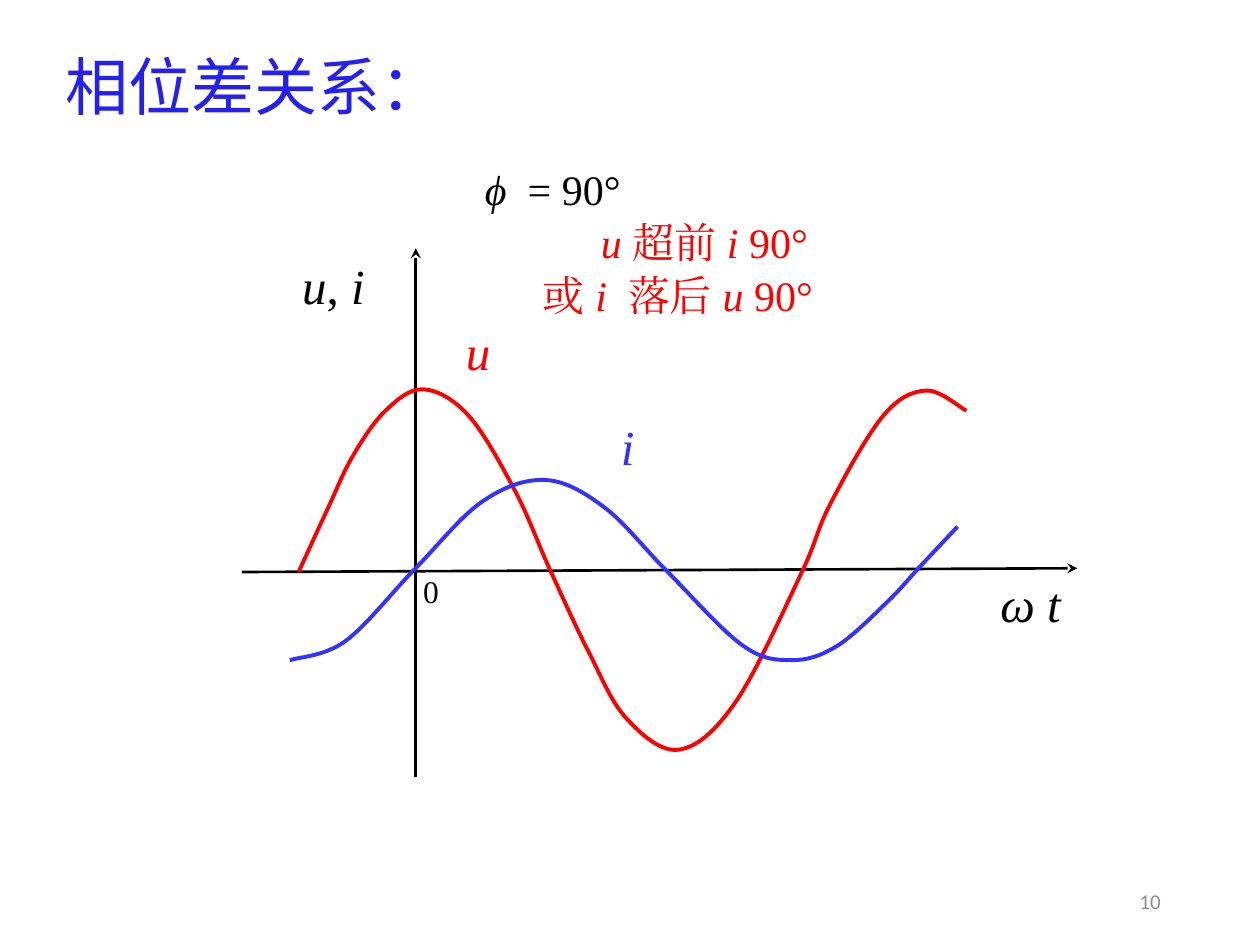
from dataclasses import dataclass

from lxml.etree import SubElement
from pptx import Presentation
from pptx.dml.color import RGBColor as RGB
from pptx.enum.text import MSO_ANCHOR as Anchor, PP_ALIGN as Align
from pptx.oxml.ns import qn
from pptx.util import Inches, Pt


@dataclass(frozen=True)
class Theme:
    ink: str = "000000"
    title: str = "2520F2"
    volt: str = "FF0000"
    amp: str = "3333FF"
    grey: str = "8C8C8C"
    serif: str = "Times New Roman"
    sans: str = "Calibri"
    han: str = "Noto Sans CJK SC"
    head: int = 36
    label: int = 28
    body: int = 24
    zero: int = 18
    foot: int = 12
    axis: float = 1.5
    wave: float = 2.25


def put(obj, vals):
    for key, val in vals.items():
        setattr(obj, key, val)


class Pen:
    def __init__(self, slide, theme):
        self.slide, self.theme = slide, theme

    def text(self, box, paras, size, color, font=None, wrap=True, frame=None):
        """Each paragraph is (format dict, indent, runs); a run is (text, italic)."""
        shape = self.slide.shapes.add_textbox(*map(Inches, box))
        tf = shape.text_frame
        put(tf, {"word_wrap": wrap, **(frame or {})})
        font = font or self.theme.serif
        for n, (form, indent, runs) in enumerate(paras):
            para = tf.add_paragraph() if n else tf.paragraphs[0]
            put(para, form)
            if indent:
                para._p.get_or_add_pPr().set("marL", str(Inches(indent)))
            for words, slant in runs:
                run = para.add_run()
                run.text = words
                put(run.font, {"name": font, "size": Pt(size), "italic": slant})
                run.font.color.rgb = RGB.from_string(color[n] if isinstance(color, list) else color)
                SubElement(run._r.get_or_add_rPr(), qn("a:ea"), typeface=font)

    def label(self, box, runs, size, color, **more):
        self.text(box, [({}, 0, runs)], size, color, **more)

    def stroke(self, line, color, width):
        line.color.rgb = RGB.from_string(color)
        line.width = Pt(width)

    def arrow(self, start, end):
        shape = self.slide.shapes.add_connector(1, *map(Inches, (*start, *end)))
        self.stroke(shape.line, self.theme.ink, self.theme.axis)
        SubElement(shape.line._get_or_add_ln(), qn("a:tailEnd"), type="stealth")
        SubElement(shape._element.spPr, qn("a:effectLst"))

    def curve(self, knots, color):
        """Draw a Catmull-Rom spline through the knots."""
        first, *rest = [(Inches(x), Inches(y)) for x, y in knots]
        build = self.slide.shapes.build_freeform(*first)
        build.add_line_segments(rest, close=False)
        shape = build.convert_to_shape()
        shape.shadow.inherit = False
        shape.fill.background()
        self.stroke(shape.line, color, self.theme.wave)

        pts = [(int(p.get("x")), int(p.get("y"))) for p in shape._element.iter(qn("a:pt"))]
        ends = [pts[0], *pts, pts[-1]]
        lines = list(shape._element.iter(qn("a:lnTo")))
        for n, old in enumerate(lines):
            a, b, c, d = ends[n:n + 4]
            ctrl = [[q + (r - p) / 6 for p, q, r in zip(a, b, c)],
                    [q - (r - p) / 6 for p, q, r in zip(b, c, d)], c]
            path = old.getparent()
            seg = SubElement(path, qn("a:cubicBezTo"))
            for x, y in ctrl:
                SubElement(seg, qn("a:pt"), x=str(round(x)), y=str(round(y)))
            path.replace(old, seg)


VOLT = [(2.37, 4.54), (2.6, 4.04), (2.8, 3.62), (3.06, 3.26), (3.36, 3.09), (3.72, 3.3),
        (4.09, 3.9), (4.36, 4.51), (4.67, 5.17), (4.97, 5.7), (5.39, 5.95), (5.84, 5.57),
        (6.36, 4.55), (6.59, 4), (7.01, 3.3), (7.35, 3.1), (7.67, 3.26)]
AMP = [(2.3, 5.24), (2.74, 5.09), (3.29, 4.52), (3.83, 3.98), (4.33, 3.81), (4.8, 4.03),
       (5.29, 4.53), (5.89, 5.12), (6.28, 5.24), (6.64, 5.13), (7.04, 4.78), (7.3, 4.5),
       (7.6, 4.18)]


def main():
    deck = Presentation()
    put(deck, {"slide_width": Inches(10), "slide_height": Inches(7.5)})
    theme = Theme()
    pen = Pen(deck.slides.add_slide(deck.slide_layouts[6]), theme)

    pen.label((0.42, 0.38, 3.23, 0.71), [("相位差关系：", False)], theme.head, theme.title,
              font=theme.han, wrap=False, frame={"margin_top": 0})

    pen.arrow((3.3, 6.17), (3.3, 1.97))
    pen.arrow((1.92, 4.54), (8.55, 4.51))
    pen.label((7.84, 4.5, 0.91, 0.57), [("ω t", True)], theme.label, theme.ink)
    pen.curve(VOLT, theme.volt)
    pen.curve(AMP, theme.amp)

    marks = [
        ((2.3, 1.98, 0.7, 0.57), [("u", True), (", ", False), ("i", True)], theme.label, theme.ink),
        ((3.6, 2.5, 0.4, 0.57), [("u", True)], theme.label, theme.volt),
        ((4.83, 3.26, 0.31, 0.57), [("i", True)], theme.label, theme.amp),
        ((3.26, 4.49, 0.37, 0.5), [("0", False)], theme.zero, theme.ink),
    ]
    for mark in marks:
        pen.label(*mark, wrap=False)

    just = {"alignment": Align.JUSTIFY}
    below = {**just, "space_before": Pt(1.5)}
    pen.text((3.75, 1.25, 4.08, 1.62), [
        (just, 0, [("ϕ  ", True), ("= 90°", False)]),
        (below, 0.92, [("u ", True), ("超前 ", False), ("i ", True), ("90°", False)]),
        (below, 0.46, [("或 ", False), ("i  ", True), ("落后 ", False), ("u ", True),
                       ("90°", False)]),
    ], theme.body, [theme.ink, theme.volt, theme.volt])

    pen.text((7.06, 6.95, 2.25, 0.4), [({"alignment": Align.RIGHT}, 0, [("10", False)])],
             theme.foot, theme.grey, font=theme.sans, frame={"vertical_anchor": Anchor.MIDDLE})

    deck.save("out.pptx")


if __name__ == "__main__":
    main()
